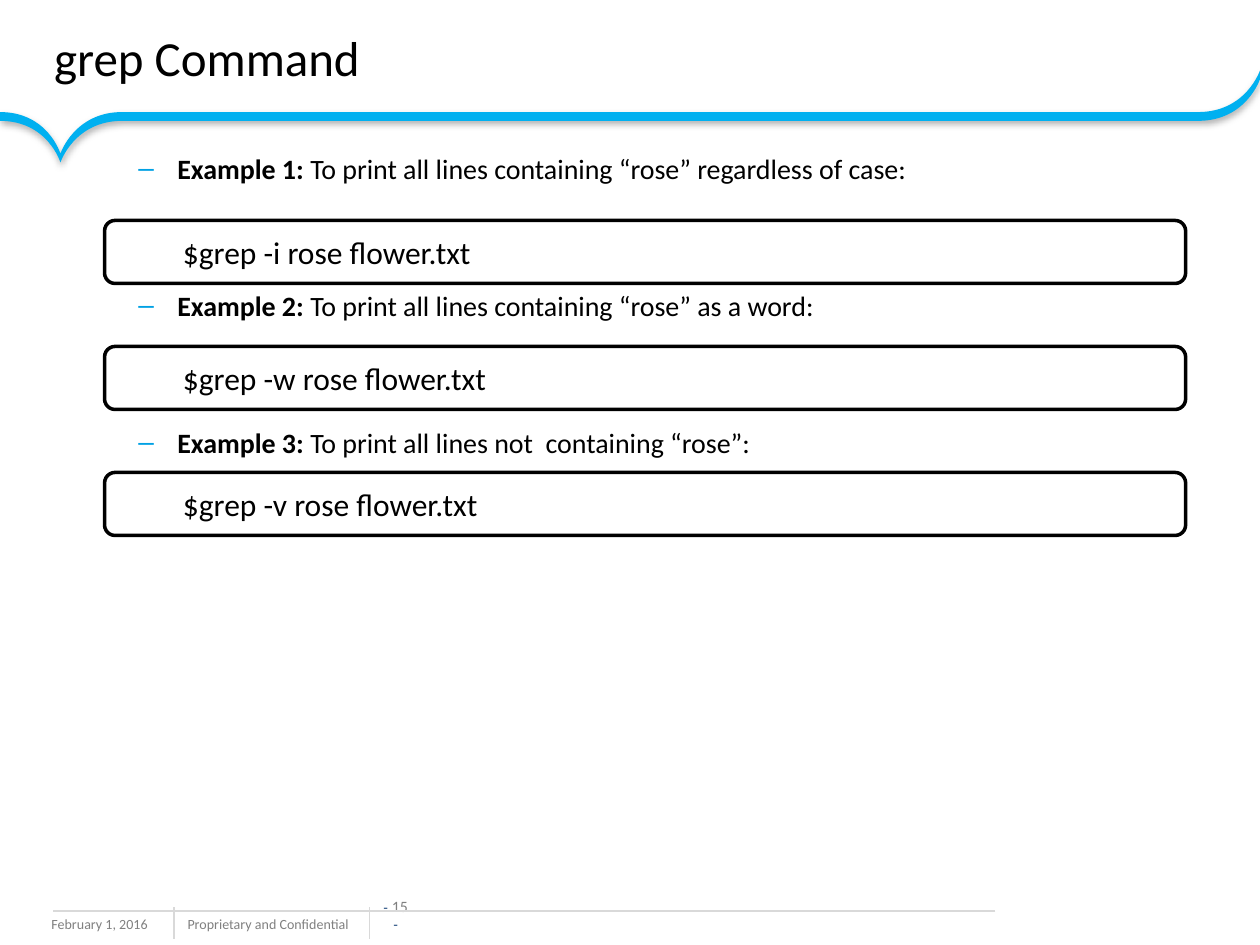
from lxml import etree
from pptx import Presentation
from pptx.dml.color import RGBColor
from pptx.enum.shapes import MSO_CONNECTOR, MSO_SHAPE
from pptx.enum.text import MSO_ANCHOR, PP_ALIGN
from pptx.oxml import parse_xml
from pptx.oxml.ns import nsdecls, qn
from pptx.util import Inches, Pt

STRAIGHT = MSO_CONNECTOR.STRAIGHT
ROUNDED = MSO_SHAPE.ROUNDED_RECTANGLE
TOP, MIDDLE, BOTTOM = MSO_ANCHOR.TOP, MSO_ANCHOR.MIDDLE, MSO_ANCHOR.BOTTOM
LEFT, CENTER = PP_ALIGN.LEFT, PP_ALIGN.CENTER

BLACK, WHITE, GRAY, RULE = "000000", "FFFFFF", "808080", "D9D9D9"
BAND, BULLET, NAVY = "00B0F0", "00A1E4", "1F497D"
TITLE_ONLY = 5
EXAMPLES = [
    ("Example 1:", " To print all lines containing “rose” regardless of case:", "$grep -i rose flower.txt"),
    ("Example 2:", " To print all lines containing “rose” as a word:", "$grep -w rose flower.txt"),
    ("Example 3:", " To print all lines not  containing “rose”:", "$grep -v rose flower.txt"),
]


def color(value):
    return RGBColor.from_string(value)


def add_run(paragraph, text, size=16, font="Calibri", fill=BLACK, bold=False):
    run = paragraph.add_run()
    run.text = text
    run.font.size = Pt(size)
    run.font.name = font
    run.font.bold = bold
    run.font.color.rgb = color(fill)


def set_frame(shape, anchor=TOP, wrap=True, margins=None):
    frame = shape.text_frame
    frame.word_wrap = wrap
    frame.vertical_anchor = anchor
    if margins is not None:
        frame.margin_left = frame.margin_right = Inches(margins)
        frame.margin_top = frame.margin_bottom = Inches(margins)
    return frame


def add_text_box(slide, left, top, width, height, **frame_format):
    box = slide.shapes.add_textbox(Inches(left), Inches(top), Inches(width), Inches(height))
    return set_frame(box, **frame_format)


def set_indent(paragraph, left, first=0):
    properties = paragraph._p.get_or_add_pPr()
    properties.set("marL", str(Inches(left)))
    properties.set("indent", str(Inches(first)))
    return properties


def add_dash_bullet(paragraph):
    properties = set_indent(paragraph, 0.81, -0.31)
    bullet_color = etree.SubElement(properties, qn("a:buClr"))
    etree.SubElement(bullet_color, qn("a:srgbClr")).set("val", BULLET)
    etree.SubElement(properties, qn("a:buFont")).set("typeface", "Arial")
    etree.SubElement(properties, qn("a:buChar")).set("char", "–")


def add_rule(slide, left, top, right, bottom):
    rule = slide.shapes.add_connector(STRAIGHT, Inches(left), Inches(top), Inches(right), Inches(bottom))
    rule.line.color.rgb = color(RULE)
    rule.line.width = Pt(0.75)
    etree.SubElement(rule._element.spPr, qn("a:effectLst"))


def bend_segment(segment, controls, left, top):
    segment.tag = qn("a:cubicBezTo")
    for index, (x, y) in enumerate(controls):
        point = etree.Element(qn("a:pt"), x=str(Inches(x - left)), y=str(Inches(y - top)))
        segment.insert(index, point)


def add_header_band(slide, left, top, width, height):
    right, tip, thickness = left + width, left + 0.48, 0.07
    line, point = top + 0.33, top + height - thickness
    corners = [(right, top), (right - 0.49, line), (left + 0.97, line), (tip, point), (left, line)]
    lower = [(x, y + thickness) for x, y in reversed(corners)]
    outline = [(Inches(x), Inches(y)) for x, y in corners + lower]
    builder = slide.shapes.build_freeform(*outline[0])
    builder.add_line_segments(outline[1:], close=True)
    band = builder.convert_to_shape()

    bends = {
        0: [(right, top), (right - 0.11, line)],
        2: [(left + 0.59, line), (tip, point)],
        3: [(tip, point), (left + 0.38, line)],
    }
    segments = list(band._element.iter(qn("a:lnTo")))
    for index, controls in bends.items():
        bend_segment(segments[index], controls, left, top)
        mirrored = [(x, y + thickness) for x, y in reversed(controls)]
        bend_segment(segments[8 - index], mirrored, left, top)

    band.fill.solid()
    band.fill.fore_color.rgb = color(BAND)
    band.line.fill.background()
    band._element.spPr.append(parse_xml(
        f'<a:effectLst {nsdecls("a")}>'
        f'<a:outerShdw blurRad="{Pt(4)}" dist="{Pt(2)}" dir="5400000" algn="t" rotWithShape="0">'
        f'<a:srgbClr val="{BLACK}"><a:alpha val="31000"/></a:srgbClr>'
        '</a:outerShdw></a:effectLst>'
    ))


def add_footer(slide, left, top, width):
    date = add_text_box(slide, left - 0.11, top - 0.01, 1.33, 0.25)
    add_run(date.paragraphs[0], "February 1, 2016", size=8, fill=GRAY)
    notice = add_text_box(slide, left + 0.97, top - 0.01, 1.57, 0.24, wrap=False)
    add_run(notice.paragraphs[0], "Proprietary and Confidential", size=8, fill=GRAY)
    number = add_text_box(slide, left + 2.6, top + 0.02, 0.24, 0.15, anchor=BOTTOM, margins=0).paragraphs[0]
    number.alignment = CENTER
    add_run(number, "- ", size=8, font="Arial", fill=NAVY)
    add_run(number, "15 ", size=9, fill=GRAY)
    add_run(number, "-", size=8, font="Arial", fill=NAVY)
    for x in (left + 0.96, left + 2.51):
        add_rule(slide, x, top - 0.03, x, top + 0.22)
    add_rule(slide, left + width, top, left, top)


def set_title(slide, left, top, width, height):
    title = slide.shapes.title
    title.left, title.top = Inches(left), Inches(top)
    title.width, title.height = Inches(width), Inches(height)
    paragraph = set_frame(title, anchor=MIDDLE).paragraphs[0]
    paragraph.alignment = LEFT
    add_run(paragraph, "grep Command", size=28)


def add_descriptions(slide, left, top, width, height):
    frame = add_text_box(slide, left, top, width, height)
    for index, (label, description, _) in enumerate(EXAMPLES):
        paragraph = frame.add_paragraph() if index else frame.paragraphs[0]
        paragraph.space_before = Pt(59.2 if index else 0)
        add_dash_bullet(paragraph)
        add_run(paragraph, label, bold=True)
        add_run(paragraph, description)


def add_commands(slide, left, top, width, height, pitch):
    for index, (_, _, command) in enumerate(EXAMPLES):
        box = slide.shapes.add_shape(
            ROUNDED, Inches(left), Inches(top + index * pitch), Inches(width), Inches(height))
        box.shadow.inherit = False
        box.fill.solid()
        box.fill.fore_color.rgb = color(WHITE)
        box.line.color.rgb = color(BLACK)
        box.line.width = Pt(2)
        paragraph = set_frame(box, anchor=MIDDLE).paragraphs[0]
        paragraph.alignment = LEFT
        set_indent(paragraph, 0.5)
        add_run(paragraph, command, size=18)


def main():
    presentation = Presentation()
    presentation.slide_width, presentation.slide_height = Inches(10), Inches(7.5)
    slide = presentation.slides.add_slide(presentation.slide_layouts[TITLE_ONLY])
    add_footer(slide, 0.42, 7.23, 7.48)
    add_header_band(slide, 0, 0.56, 10, 0.73)
    set_title(slide, 0.33, 0.02, 9, 0.87)
    add_descriptions(slide, 0.5, 1.15, 9, 5.55)
    add_commands(slide, 0.83, 1.75, 8.58, 0.5, pitch=1)
    presentation.save("out.pptx")


if __name__ == "__main__":
    main()
